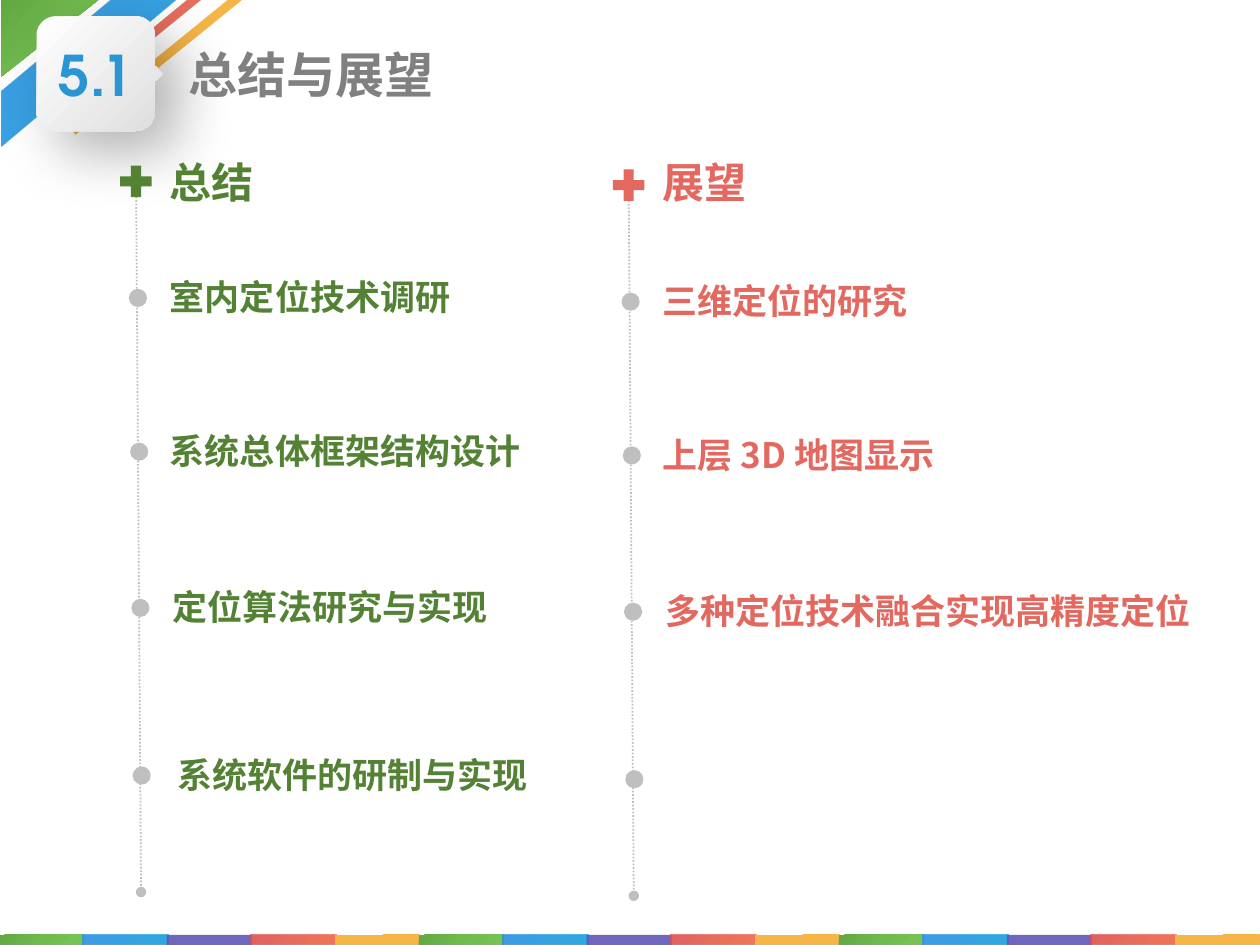
import itertools
import math
from dataclasses import dataclass
from typing import NamedTuple

import lxml.etree as etree
import pptx
import pptx.dml.color
import pptx.enum.dml
import pptx.enum.shapes
import pptx.enum.text
import pptx.oxml.ns
import pptx.util

SHAPE = pptx.enum.shapes.MSO_SHAPE
ALIGN = pptx.enum.text.PP_ALIGN
RGB = pptx.dml.color.RGBColor.from_string
Inches, Pt, qn = pptx.util.Inches, pptx.util.Pt, pptx.oxml.ns.qn


class Blend(NamedTuple):
    """Gradient colours from first to last, with opacity in percent."""
    colours: tuple
    opacity: int = 100
    angle: int | None = None


@dataclass(frozen=True)
class Theme:
    green: Blend = Blend(("78C556", "70BA4E", "61A742"))
    blue: Blend = Blend(("19A2DF", "2399E0", "2D91E0"), 90)
    purple: Blend = Blend(("6057B6", "6057B6"), 90)
    red: Blend = Blend(("F06A48", "E65F4D", "DC5153"), 90)
    yellow: Blend = Blend(("F5B647", "F5B547", "F5B547"))
    badge: Blend = Blend(("FFFFFF", "DEDEDE"), angle=45)
    number: str = "2995D4"
    title: str = "808080"
    summary: str = "548235"
    outlook: str = "E36860"
    track: str = "BFBFBF"
    cjk: str = "Noto Sans CJK SC"
    latin: str = "TeX Gyre Adventor"
    number_size: int = 32
    title_size: int = 28
    heading_size: int = 24
    item_size: int = 20


class Box(NamedTuple):
    left: float
    top: float
    width: float
    height: float

    def emu(self) -> list:
        return [Inches(length) for length in self]


class Topic(NamedTuple):
    heading: str
    colour: str
    left: float
    drop: float
    items: tuple
    widths: tuple


THEME = Theme()
WIDTH, HEIGHT = 10, 7.5
DOT = 0.13
ROWS = (2.3, 3.52, 4.76, 6.09)
INDENTS = (0, 0, 0.02, 0.06)
STRIPES = (
    (THEME.blue, ((0.01, 1.16), (1.4, 0), (0.88, 0), (0.01, 0.72))),
    (THEME.red, ((0.72, 0.71), (1.6, 0), (1.49, 0), (0.68, 0.66))),
    (THEME.yellow, ((0.6, 1.07), (1.92, 0), (1.81, 0), (0.56, 1.01))),
)
TOPICS = (
    Topic("总结", THEME.summary, 1.25, 0,
          ("室内定位技术调研", "系统总体框架结构设计", "定位算法研究与实现", "系统软件的研制与实现"),
          (3.41, 3.41, 3.39, 3.51)),
    Topic("展望", THEME.outlook, 5.16, 0.03,
          ("三维定位的研究", "上层 3D 地图显示", "多种定位技术融合实现高精度定位"),
          (3.32, 3.57, 4.41)),
)


def add_node(parent, tag: str, **attributes):
    return etree.SubElement(parent, qn(tag), {k: str(v) for k, v in attributes.items()})


def paint(shape, blend: Blend) -> None:
    shape.shadow.inherit = False
    shape.line.fill.background()
    shape.fill.gradient()
    gradient = shape._element.spPr.find(qn("a:gradFill"))
    for child in list(gradient):
        gradient.remove(child)
    stops = add_node(gradient, "a:gsLst")
    for i, colour in enumerate(blend.colours):
        stop = add_node(stops, "a:gs", pos=100000 * i // (len(blend.colours) - 1))
        add_node(add_node(stop, "a:srgbClr", val=colour), "a:alpha", val=blend.opacity * 1000)
    if blend.angle is None:
        centre = add_node(gradient, "a:path", path="circle")
        add_node(centre, "a:fillToRect", l=100000, t=100000)
    else:
        add_node(gradient, "a:lin", ang=blend.angle * 60000, scaled=0)


def add_outline(slide, points, blend: Blend):
    start, *others = [(Inches(x), Inches(y)) for x, y in points]
    builder = slide.shapes.build_freeform(*start)
    builder.add_line_segments(others, close=True)
    outline = builder.convert_to_shape()
    paint(outline, blend)
    return outline


def add_preset(slide, kind, box: Box, colour: str, outlined: bool = False) -> None:
    mark = slide.shapes.add_shape(kind, *box.emu())
    mark.shadow.inherit = False
    mark.fill.solid()
    mark.fill.fore_color.rgb = RGB(colour)
    if outlined:
        mark.line.color.rgb = RGB(colour)
        mark.line.width = Pt(1)
    else:
        mark.line.fill.background()


def write(shape, text: str, size: int, colour: str, face: str = THEME.cjk, **frame_format) -> None:
    frame = shape.text_frame
    settings = {"word_wrap": True, "auto_size": pptx.enum.text.MSO_AUTO_SIZE.SHAPE_TO_FIT_TEXT}
    for name, value in (settings | frame_format).items():
        setattr(frame, name, value)
    run = frame.paragraphs[0].add_run()
    run.text = text
    for name, value in {"size": Pt(size), "bold": True, "name": face}.items():
        setattr(run.font, name, value)
    run.font.color.rgb = RGB(colour)
    add_node(run._r.get_or_add_rPr(), "a:ea", typeface=face)


def add_label(slide, box: Box, text: str, size: int, colour: str, **frame_format) -> None:
    write(slide.shapes.add_textbox(*box.emu()), text, size, colour, **frame_format)


def draw_corner(slide) -> None:
    corner = slide.shapes.add_shape(SHAPE.RIGHT_TRIANGLE, *Box(0.01, 0, 0.77, 0.61).emu())
    corner._element.spPr.find(qn("a:xfrm")).set("flipV", "1")
    paint(corner, THEME.green)
    for blend, points in STRIPES:
        add_outline(slide, points, blend)


def badge_points() -> list:
    """Rounded square with a small pointer on its right side."""
    left, top, right, bottom, radius = 0.29, 0.13, 1.23, 1.04, 0.15

    def arc(x: float, y: float, start: int) -> list:
        angles = (math.radians(start + step) for step in range(0, 91, 10))
        return [(x + radius * math.cos(a), y + radius * math.sin(a)) for a in angles]

    pointer = [(right, 0.53), (1.24, 0.53), (1.29, 0.59), (1.24, 0.64), (right, 0.64)]
    return (arc(left + radius, top + radius, 180) + arc(right - radius, top + radius, 270)
            + pointer + arc(right - radius, bottom - radius, 0)
            + arc(left + radius, bottom - radius, 90))


def draw_header(slide) -> None:
    badge = add_outline(slide, badge_points(), THEME.badge)
    effects = badge._element.spPr.find(qn("a:effectLst"))
    shadow = add_node(effects, "a:outerShdw", blurRad=Pt(34), dist=Pt(17), dir=45 * 60000,
                      algn="tl", rotWithShape=0)
    add_node(add_node(shadow, "a:srgbClr", val="000000"), "a:alpha", val=30000)

    number = slide.shapes.add_shape(SHAPE.ROUNDED_RECTANGLE, *Box(0.32, 0.24, 0.88, 0.7).emu())
    number.shadow.inherit = False
    number.fill.background()
    number.line.fill.background()
    middle = pptx.enum.text.MSO_ANCHOR.MIDDLE
    write(number, "5.1", THEME.number_size, THEME.number, THEME.latin,
          word_wrap=False, vertical_anchor=middle)
    number.text_frame.paragraphs[0].alignment = ALIGN.CENTER
    add_label(slide, Box(1.4, 0.3, 4.99, 0.57), "总结与展望", THEME.title_size, THEME.title,
              vertical_anchor=middle)


def draw_footer(slide, tiles: int = 15) -> None:
    step = WIDTH / tiles
    blends = itertools.cycle((THEME.green, THEME.blue, THEME.purple, THEME.red, THEME.yellow))
    for i, blend in zip(range(tiles), blends):
        box = Box(i * step - 0.01, HEIGHT - 0.08, step + 0.01, 0.08)
        paint(slide.shapes.add_shape(SHAPE.RECTANGLE, *box.emu()), blend)


def draw_track(slide, left: float, top: float) -> None:
    ends = (left, top, left + 0.04, top + 5.61)
    track = slide.shapes.add_connector(pptx.enum.shapes.MSO_CONNECTOR.STRAIGHT,
                                       *(Inches(end) for end in ends))
    track.line.color.rgb = RGB(THEME.track)
    track.line.width = Pt(1)
    track.line.dash_style = pptx.enum.dml.MSO_LINE.ROUND_DOT
    for end in ("a:headEnd", "a:tailEnd"):
        add_node(track.line._get_or_add_ln(), end, type="oval")
    add_node(track._element.spPr, "a:effectLst")


def draw_topic(slide, topic: Topic) -> None:
    left, drop = topic.left, topic.drop
    draw_track(slide, left - 0.17, 1.47 + drop)
    add_preset(slide, SHAPE.MATH_PLUS, Box(left - 0.34, 1.27 + drop, 0.34, 0.34), topic.colour)
    add_label(slide, Box(left, 1.19, 3.19, 0.5), topic.heading, THEME.heading_size, topic.colour)
    for i, row in enumerate(ROWS):
        dot = Box(left - 0.22 + i * 0.01, row + drop, DOT, DOT)
        add_preset(slide, SHAPE.OVAL, dot, THEME.track, outlined=True)
    for row, indent, item, width in zip(ROWS, INDENTS, topic.items, topic.widths):
        add_label(slide, Box(left + indent, row - 0.16 + drop, width, 0.44), item,
                  THEME.item_size, topic.colour)


def main() -> None:
    deck = pptx.Presentation()
    deck.slide_width, deck.slide_height = Inches(WIDTH), Inches(HEIGHT)
    slide = deck.slides.add_slide(deck.slide_layouts[6])
    draw_corner(slide)
    draw_header(slide)
    draw_footer(slide)
    for topic in TOPICS:
        draw_topic(slide, topic)
    deck.save("out.pptx")


if __name__ == "__main__":
    main()
